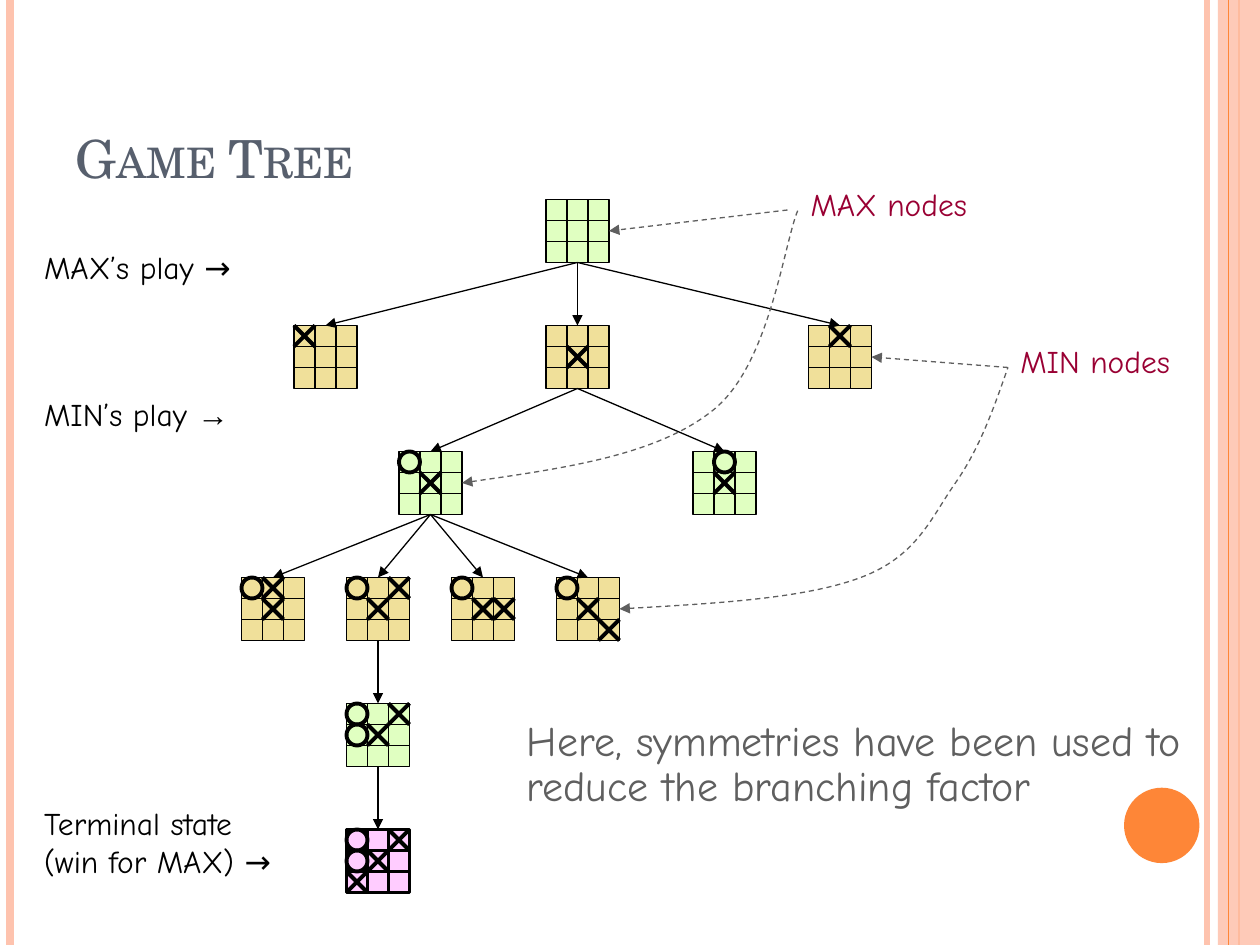
import pptx
import pptx.dml.color
import pptx.enum.dml
import pptx.enum.shapes
import pptx.enum.text
import pptx.oxml.ns
import pptx.oxml.xmlchemy
import pptx.util
from lxml import etree

Cm = pptx.util.Cm
qn = pptx.oxml.ns.qn
SHAPES = pptx.enum.shapes.MSO_SHAPE
STRAIGHT = pptx.enum.shapes.MSO_CONNECTOR.STRAIGHT
ANCHOR = pptx.enum.text.MSO_ANCHOR
CELL = 2.54 / 6  # side of one board square in cm
ORANGE, PEACH, BLACK, GREY = "FE8637", "FEC3AE", "000000", "5F5F5F"
GREEN, TAN, PINK, CRIMSON = "E0FFC1", "F0E09A", "FFCCFF", "990033"


def rgb(colour):
    return pptx.dml.color.RGBColor.from_string(colour)


def style(shape, line=None, width=0.75, fill=None, arrow=None, dashed=False):
    """Set fill and outline without shadow; arrow is "headEnd" or "tailEnd"."""
    if fill:
        shape.fill.solid()
        shape.fill.fore_color.rgb = rgb(fill)
    if line:
        shape.line.color.rgb = rgb(line)
        shape.line.width = pptx.util.Pt(width)
    else:
        shape.line.fill.background()
    if dashed:
        shape.line.dash_style = pptx.enum.dml.MSO_LINE.DASH
    properties = shape._element.spPr
    if arrow:
        etree.SubElement(properties.find(qn("a:ln")), qn("a:" + arrow), type="triangle")
    etree.SubElement(properties, qn("a:effectLst"))


presentation = pptx.Presentation()
presentation.slide_width, presentation.slide_height = Cm(25.4), Cm(19.05)
slide = presentation.slides.add_slide(presentation.slide_layouts[6])
shapes = slide.shapes

# Side decoration
for x, colour, width in [(24.33, PEACH, 3), (0.21, PEACH, 4.5), (24.98, ORANGE, 1.5)]:
    stripe = shapes.add_connector(STRAIGHT, Cm(x), 0, Cm(x), Cm(19.05))
    style(stripe, colour, width)
side_bar = shapes.add_shape(SHAPES.RECTANGLE, Cm(24.55), 0, Cm(0.85), Cm(19.05))
style(side_bar, fill=PEACH)
bar_colour = side_bar._element.spPr.find(qn("a:solidFill"))[0]
etree.SubElement(bar_colour, qn("a:alpha"), val="87000")
stripe = shapes.add_connector(STRAIGHT, Cm(24.77), 0, Cm(24.77), Cm(19.05))
style(stripe, ORANGE)
disc = shapes.add_shape(SHAPES.OVAL, Cm(22.66), Cm(15.88), Cm(1.52), Cm(1.52))
style(disc, fill=ORANGE)

# Boards: left edge in cells, level, marks by row, index of the parent board
boards = [
    (26, 0, ["...", "...", "..."], None),
    (14, 1, ["X..", "...", "..."], 0),
    (26, 1, ["...", ".X.", "..."], 0),
    (38.5, 1, [".X.", "...", "..."], 0),
    (19, 2, ["O..", ".X.", "..."], 2),
    (33, 2, [".O.", ".X.", "..."], 2),
    (11.5, 3, ["OX.", ".X.", "..."], 4),
    (16.5, 3, ["O.X", ".X.", "..."], 4),
    (21.5, 3, ["O..", ".XX", "..."], 4),
    (26.5, 3, ["O..", ".X.", "..X"], 4),
    (16.5, 4, ["O.X", "OX.", "..."], 7),
    (16.5, 5, ["O.X", "OX.", "X.."], 10),
]
level_fills = [GREEN, TAN, GREEN, TAN, GREEN, PINK]
for left, level, rows, parent in boards:
    top = 9.5 + 6 * level
    fill = level_fills[level]
    grid_width = 1.5 if fill == PINK else 0.75
    board = shapes.add_shape(SHAPES.RECTANGLE, Cm(left * CELL), Cm(top * CELL),
                             Cm(3 * CELL), Cm(3 * CELL))
    style(board, BLACK, grid_width, fill)

    strokes = []
    for step in (1, 2):
        strokes.append((left, top + step, left + 3, top + step, grid_width, None))
        strokes.append((left + step, top, left + step, top + 3, grid_width, None))
    for row, marks in enumerate(rows):
        for column, mark in enumerate(marks):
            x, y = left + column, top + row
            if mark == "X":
                strokes.append((x, y, x + 1, y + 1, 2.25, None))
                strokes.append((x, y + 1, x + 1, y, 2.25, None))
    if parent is not None:
        strokes.append((boards[parent][0] + 1.5, top - 3, left + 1.5, top, 0.75, "tailEnd"))
    for *ends, width, arrow in strokes:
        stroke = shapes.add_connector(STRAIGHT, *[Cm(end * CELL) for end in ends])
        style(stroke, BLACK, width, arrow=arrow)

    for row, marks in enumerate(rows):
        for column, mark in enumerate(marks):
            if mark == "O":
                circle = shapes.add_shape(SHAPES.OVAL, Cm((left + column) * CELL),
                                          Cm((top + row) * CELL), Cm(CELL), Cm(CELL))
                style(circle, BLACK, 2.25, fill)

# Dashed pointers from the node labels, in cells
for ends in [(48, 17.5, 41.5, 17), (37.5, 10, 29, 11)]:
    pointer = shapes.add_connector(STRAIGHT, *[Cm(end * CELL) for end in ends])
    style(pointer, GREY, arrow="tailEnd", dashed=True)

curves = [
    [(29.5, 29), (33.9, 28.75), (38.33, 28.5), (41, 27.5), (43.67, 26.5),
     (44.33, 24.67), (45.5, 23), (46.67, 21.33), (47.33, 19.42), (48, 17.5)],
    [(22, 23), (26.67, 22.33), (31.33, 21.67), (34, 19.5), (36.67, 17.33),
     (37.33, 11.58), (38, 10)],
]
for curve in curves:
    points = [(Cm(x * CELL), Cm(y * CELL)) for x, y in curve]
    builder = shapes.build_freeform(*points[0])
    builder.add_line_segments(points[1:], close=False)
    pointer = builder.convert_to_shape()
    pointer.fill.background()
    style(pointer, GREY, arrow="headEnd", dashed=True)
    # Every three line segments become one Bézier segment
    outline = next(pointer._element.iter(qn("a:path")))
    segments = outline.findall(qn("a:lnTo"))
    for start in range(0, len(segments), 3):
        bezier = etree.SubElement(outline, qn("a:cubicBezTo"))
        for segment in segments[start:start + 3]:
            bezier.append(segment[0])
            outline.remove(segment)

# Texts: box in cm, wrap, size, colour, lines of (text, font) runs
COMIC = "Comic Neue"
texts = [
    ((1.27, 0.76, 20.75, 3.18), True, 30, "575F6D", [[("Game Tree", "TeX Gyre Schola")]]),
    ((0.64, 4.87, 4.6, 1.02), False, 18, BLACK, [[("MAX’s play →", COMIC)]]),
    ((0.64, 7.83, 4.52, 1.02), False, 18, BLACK, [[("MIN’s play ", COMIC), ("→", "Arial")]]),
    ((0.64, 16.09, 5.56, 1.78), False, 18, BLACK,
     [[("Terminal state", COMIC)], [("(win for MAX) →", COMIC)]]),
    ((10.37, 14.39, 13.97, 2.08), True, 24, GREY,
     [[("Here, symmetries have been used to reduce the branching factor", COMIC)]]),
    ((20.32, 6.77, 3.81, 1.02), False, 18, CRIMSON, [[("MIN nodes", COMIC)]]),
    ((16.09, 3.6, 3.89, 1.02), False, 18, CRIMSON, [[("MAX nodes", COMIC)]]),
]
for box, wrap, size, colour, lines in texts:
    frame = shapes.add_textbox(*[Cm(length) for length in box]).text_frame
    frame.word_wrap = wrap
    paragraph = frame.paragraphs[0]
    if size == 24:
        paragraph.line_spacing = 0.9
    for number, line in enumerate(lines):
        if number:
            paragraph.add_line_break()
        for text, font_name in line:
            run = paragraph.add_run()
            run.text = text
            run.font.name = font_name
            run.font.size = pptx.util.Pt(size)
            run.font.color.rgb = rgb(colour)
            if size == 30:
                frame.vertical_anchor = ANCHOR.BOTTOM
                run.font._element.set("cap", "small")

presentation.save("out.pptx")
